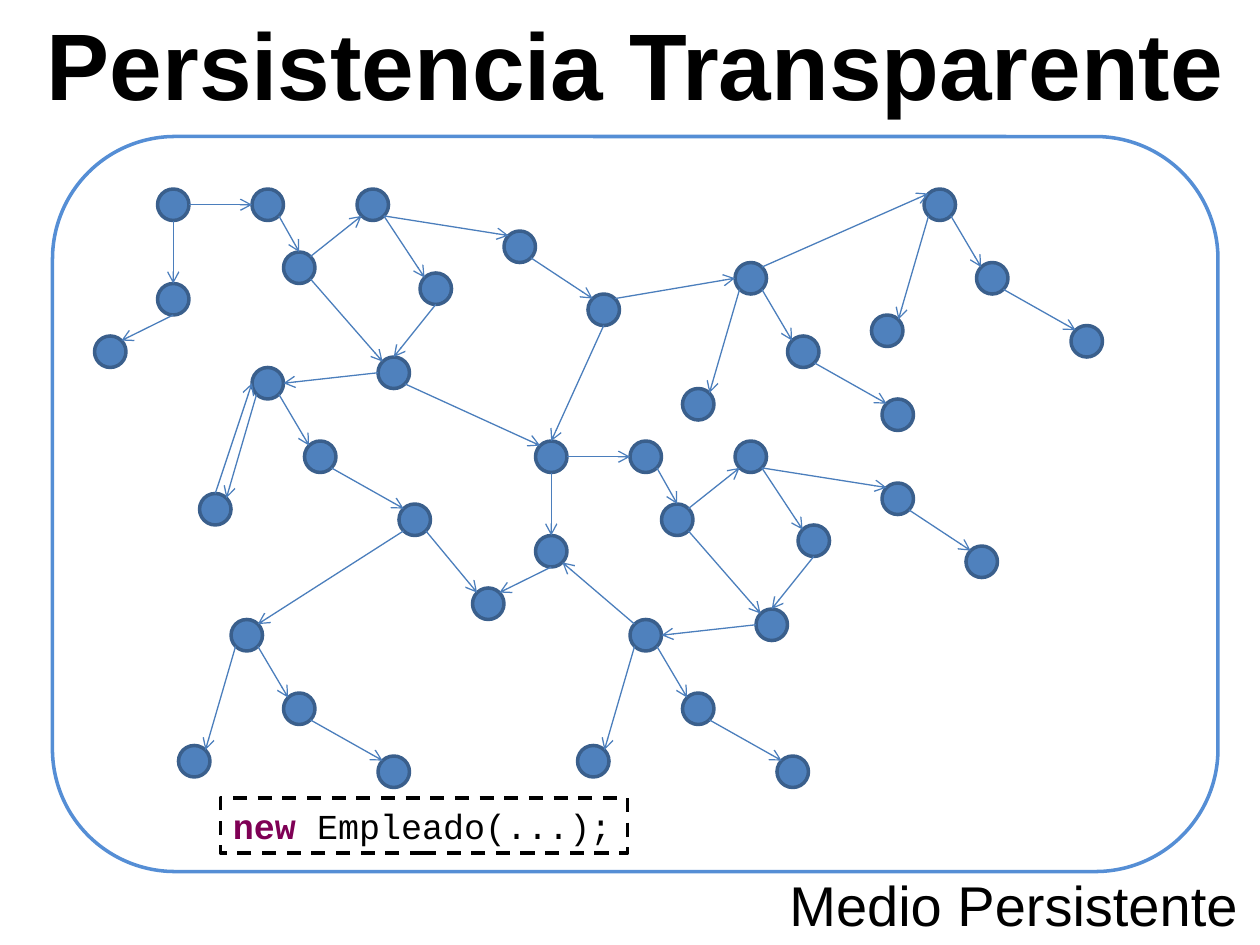
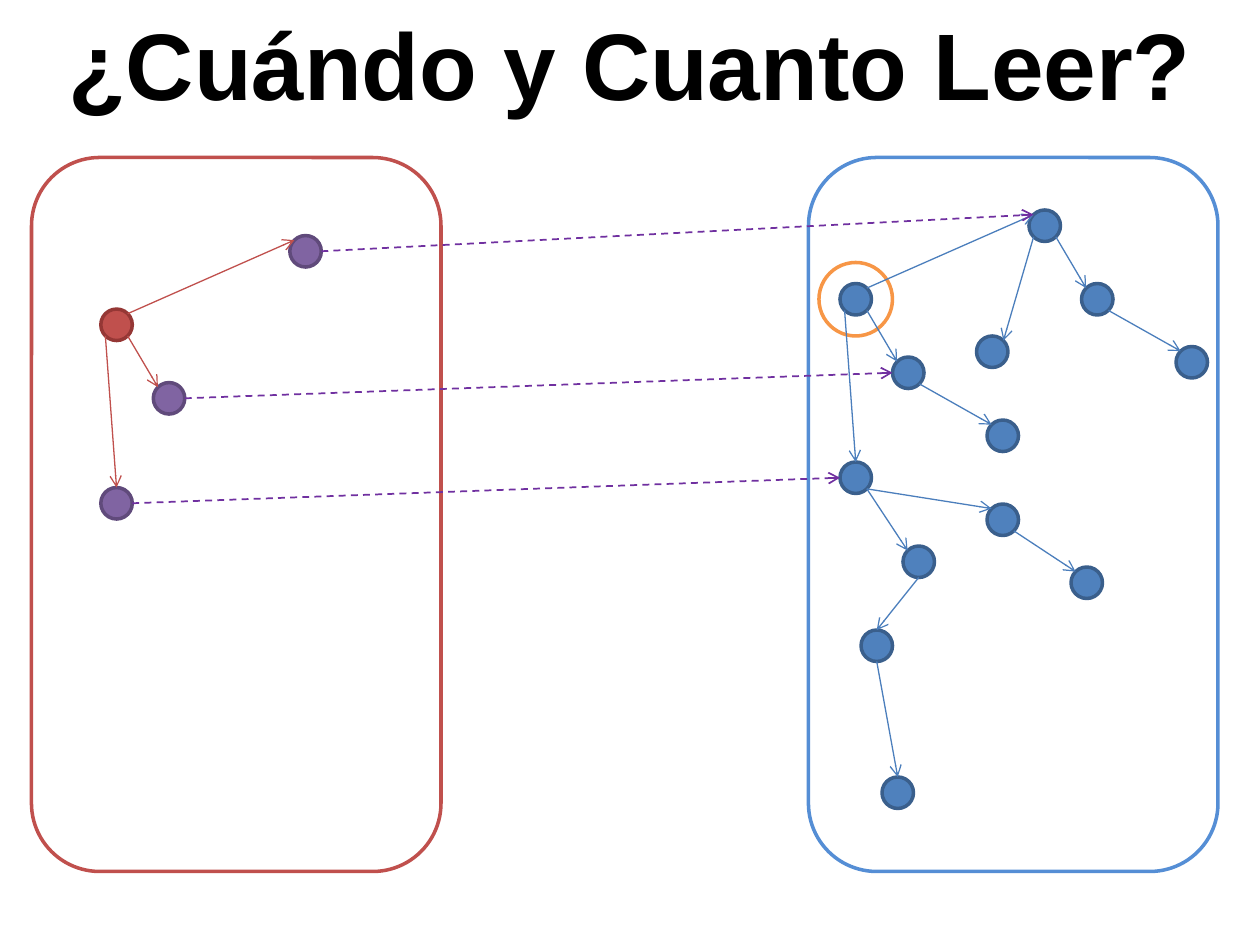
from collections import namedtuple
from math import sqrt

from lxml import etree
from pptx import Presentation
from pptx.dml.color import RGBColor
from pptx.enum.dml import MSO_LINE
from pptx.enum.shapes import MSO_CONNECTOR, MSO_SHAPE
from pptx.enum.text import MSO_ANCHOR, PP_ALIGN
from pptx.oxml.ns import qn
from pptx.util import Pt

DASH = MSO_LINE.DASH
STRAIGHT = MSO_CONNECTOR.STRAIGHT
NODE, OVAL = MSO_SHAPE.FLOWCHART_CONNECTOR, MSO_SHAPE.OVAL
RECT, ROUND_RECT = MSO_SHAPE.RECTANGLE, MSO_SHAPE.ROUNDED_RECTANGLE
TOP, MIDDLE = MSO_ANCHOR.TOP, MSO_ANCHOR.MIDDLE
LEFT, CENTER = PP_ALIGN.LEFT, PP_ALIGN.CENTER

BLACK = RGBColor(0x00, 0x00, 0x00)
WHITE = RGBColor(0xFF, 0xFF, 0xFF)
BLUE = RGBColor(0x4F, 0x81, 0xBD)
BLUE_EDGE = RGBColor(0x3A, 0x5F, 0x8C)
BLUE_ARROW = RGBColor(0x4B, 0x7E, 0xBC)
BLUE_PANEL = RGBColor(0x55, 0x8E, 0xD5)
RED = RGBColor(0xC0, 0x50, 0x4D)
RED_EDGE = RGBColor(0x95, 0x37, 0x35)
PURPLE = RGBColor(0x80, 0x64, 0xA2)
PURPLE_EDGE = RGBColor(0x60, 0x4A, 0x7B)
PURPLE_ARROW = RGBColor(0x70, 0x30, 0xA0)
ORANGE = RGBColor(0xF7, 0x96, 0x46)
KEYWORD = RGBColor(0x7F, 0x00, 0x55)

NODE_SIZE = 18
DIAGONAL = 1 / sqrt(2)
# Unit vectors from a node's centre to the points where arrows meet its rim
RIM = {
    "t": (0, -1), "b": (0, 1), "l": (-1, 0), "r": (1, 0),
    "tl": (-DIAGONAL, -DIAGONAL), "tr": (DIAGONAL, -DIAGONAL),
    "bl": (-DIAGONAL, DIAGONAL), "br": (DIAGONAL, DIAGONAL),
}
# Offsets, in points, from an object to the three objects it refers to
CHILD, BELOW, ASIDE = (30, 42), (0, 102), (108, -42)

Fan = namedtuple("Fan", "root child grandchild leaf")
Kite = namedtuple("Kite", "top mid far tail join")
Cluster = namedtuple("Cluster", "start below low kite fan")


def add_run(p, text, size, font="Arial", color=BLACK, bold=False):
    r = p.add_run()
    r.text = text
    r.font.name, r.font.size, r.font.bold = font, Pt(size), bold
    r.font.color.rgb = color


def add_title(s, text, x, w):
    sp = s.shapes.title
    sp.left, sp.top, sp.width, sp.height = Pt(x), Pt(0), Pt(w), Pt(72.7)
    tf = sp.text_frame
    tf.word_wrap, tf.vertical_anchor = True, TOP
    tf.paragraphs[0].alignment = CENTER
    add_run(tf.paragraphs[0], text, 54, bold=True)


def add_label(s, text, x, y, w, h):
    tf = s.shapes.add_textbox(Pt(x), Pt(y), Pt(w), Pt(h)).text_frame
    tf.word_wrap = True
    add_run(tf.paragraphs[0], text, 32)


def add_outlined(s, kind, x, y, w, h, edge, fill=None):
    sp = s.shapes.add_shape(kind, Pt(x), Pt(y), Pt(w), Pt(h))
    sp.shadow.inherit = False
    sp.line.color.rgb, sp.line.width = edge, Pt(2)
    if fill is None:
        sp.fill.background()
    else:
        sp.fill.solid()
        sp.fill.fore_color.rgb = fill
    return sp


def add_code_box(s, x, y, w, h):
    sp = add_outlined(s, RECT, x, y, w, h, BLACK, WHITE)
    sp.line.dash_style = DASH
    tf = sp.text_frame
    tf.word_wrap, tf.vertical_anchor = False, MIDDLE
    p = tf.paragraphs[0]
    p.alignment = LEFT
    add_run(p, "new", 20, "Courier New", KEYWORD, True)
    add_run(p, " Empleado(...);", 20, "Courier New")


def add_node(s, x, y, fill=BLUE, edge=BLUE_EDGE):
    """Draw a circle and return its top left corner."""
    add_outlined(s, NODE, x, y, NODE_SIZE, NODE_SIZE, edge, fill)
    return x, y


def rim_point(node, side):
    radius = NODE_SIZE / 2
    return [Pt(corner + radius * (1 + unit)) for corner, unit in zip(node, RIM[side])]


def add_arrow(s, start, start_side, end, end_side, color=BLUE_ARROW, width=0.75, dash=None):
    cx = s.shapes.add_connector(
        STRAIGHT, *rim_point(start, start_side), *rim_point(end, end_side))
    cx.line.color.rgb, cx.line.width = color, Pt(width)
    if dash is not None:
        cx.line.dash_style = dash
    etree.SubElement(cx.line._get_or_add_ln(), qn("a:tailEnd"), type="arrow")
    etree.SubElement(cx._element.spPr, qn("a:effectLst"))


def shift(origin, offset):
    return origin[0] + offset[0], origin[1] + offset[1]


def add_fan(s, origin, with_leaf=True):
    """Root with a child, a grandchild and, optionally, a leaf to the left."""
    root = add_node(s, *origin)
    child = add_node(s, *shift(origin, CHILD))
    grandchild = add_node(s, *shift(origin, (84, 78)))
    add_arrow(s, root, "br", child, "tl")
    add_arrow(s, child, "br", grandchild, "tl")
    leaf = None
    if with_leaf:
        leaf = add_node(s, *shift(origin, (-30, 72)))
        add_arrow(s, root, "bl", leaf, "tr")
    return Fan(root, child, grandchild, leaf)


def add_kite(s, origin):
    """Top node that splits into a far branch and a branch ending in a join."""
    offsets = ((0, 0), (36, 48), (84, 24), (132, 60), (12, 96))
    kite = Kite(*(add_node(s, *shift(origin, offset)) for offset in offsets))
    add_arrow(s, kite.top, "br", kite.mid, "tl")
    add_arrow(s, kite.top, "br", kite.far, "tl")
    add_arrow(s, kite.far, "br", kite.tail, "tl")
    add_arrow(s, kite.mid, "b", kite.join, "t")
    return kite


def add_cluster(s, origin):
    """Object graph made of a start, a hub, a kite and a fan."""
    offsets = ((0, 0), (54, 0), (72, 36), (0, 54), (-36, 84))
    start, after, hub, below, low = (
        add_node(s, *shift(origin, offset)) for offset in offsets)
    kite = add_kite(s, shift(origin, (114, 0)))
    fan = add_fan(s, shift(origin, (54, 102)))
    add_arrow(s, start, "r", after, "l")
    add_arrow(s, after, "br", hub, "t")
    add_arrow(s, start, "b", below, "t")
    add_arrow(s, below, "b", low, "tr")
    add_arrow(s, hub, "br", kite.join, "tl")
    add_arrow(s, hub, "tr", kite.top, "bl")
    add_arrow(s, kite.join, "l", fan.root, "r")
    return Cluster(start, below, low, kite, fan)


def add_references(s, root, below, aside, color):
    add_arrow(s, root, "bl", below, "t", color)
    add_arrow(s, root, "tr", aside, "tl", color)


def build_persistence(s):
    add_title(s, "Persistencia Transparente", -30, 786)
    add_outlined(s, ROUND_RECT, 30, 78, 666, 420, BLUE_PANEL)
    add_label(s, "Medio Persistente", 444, 494, 276, 46)

    first = add_cluster(s, (90, 108))
    second = add_cluster(s, (306, 252))
    bottom_fan = add_fan(s, (132, 354))
    middle_fan = add_fan(s, (420, 150))
    right_fan = add_fan(s, (528, 108))

    add_arrow(s, first.kite.tail, "b", second.start, "t")
    add_arrow(s, first.kite.join, "br", second.start, "tl")
    add_arrow(s, first.fan.grandchild, "br", second.low, "tl")
    add_arrow(s, first.fan.leaf, "t", first.fan.root, "l")
    add_arrow(s, second.fan.root, "tl", second.below, "br")
    add_arrow(s, first.fan.grandchild, "bl", bottom_fan.root, "tr")
    add_arrow(s, first.kite.tail, "tr", middle_fan.root, "l")
    add_arrow(s, middle_fan.root, "tr", right_fan.root, "tl")
    add_code_box(s, 126, 456, 232.6, 31.5)


def build_reading(s):
    add_title(s, "¿Cuándo y Cuanto Leer?", 0, 720)
    add_outlined(s, OVAL, 468, 150, 42, 42, ORANGE, WHITE)
    for x, edge in ((18, RED), (462, BLUE_PANEL)):
        add_outlined(s, ROUND_RECT, x, 90, 234, 408, edge)

    origin = (480, 162)
    stored = add_fan(s, origin, with_leaf=False)
    kite = add_kite(s, shift(origin, BELOW))
    last = add_node(s, 504, 444)
    aside = add_fan(s, shift(origin, ASIDE))
    add_arrow(s, kite.join, "b", last, "t")
    add_references(s, stored.root, kite.top, aside.root, BLUE_ARROW)

    loaded = add_node(s, 57.6, 176.6, RED, RED_EDGE)
    child, below, proxy_aside = (
        add_node(s, *shift(loaded, offset), PURPLE, PURPLE_EDGE)
        for offset in (CHILD, BELOW, ASIDE))
    add_arrow(s, loaded, "br", child, "tl", RED)
    add_references(s, loaded, below, proxy_aside, RED)

    for proxy, target, side in ((proxy_aside, aside.root, "tl"),
                                (child, stored.child, "l"),
                                (below, kite.top, "l")):
        add_arrow(s, proxy, "r", target, side, PURPLE_ARROW, 1, DASH)


def main():
    prs = Presentation()
    prs.slide_width, prs.slide_height = Pt(720), Pt(540)
    title_only = prs.slide_layouts[5]
    for build in (build_persistence, build_reading):
        build(prs.slides.add_slide(title_only))
    prs.save("out.pptx")


if __name__ == "__main__":
    main()
